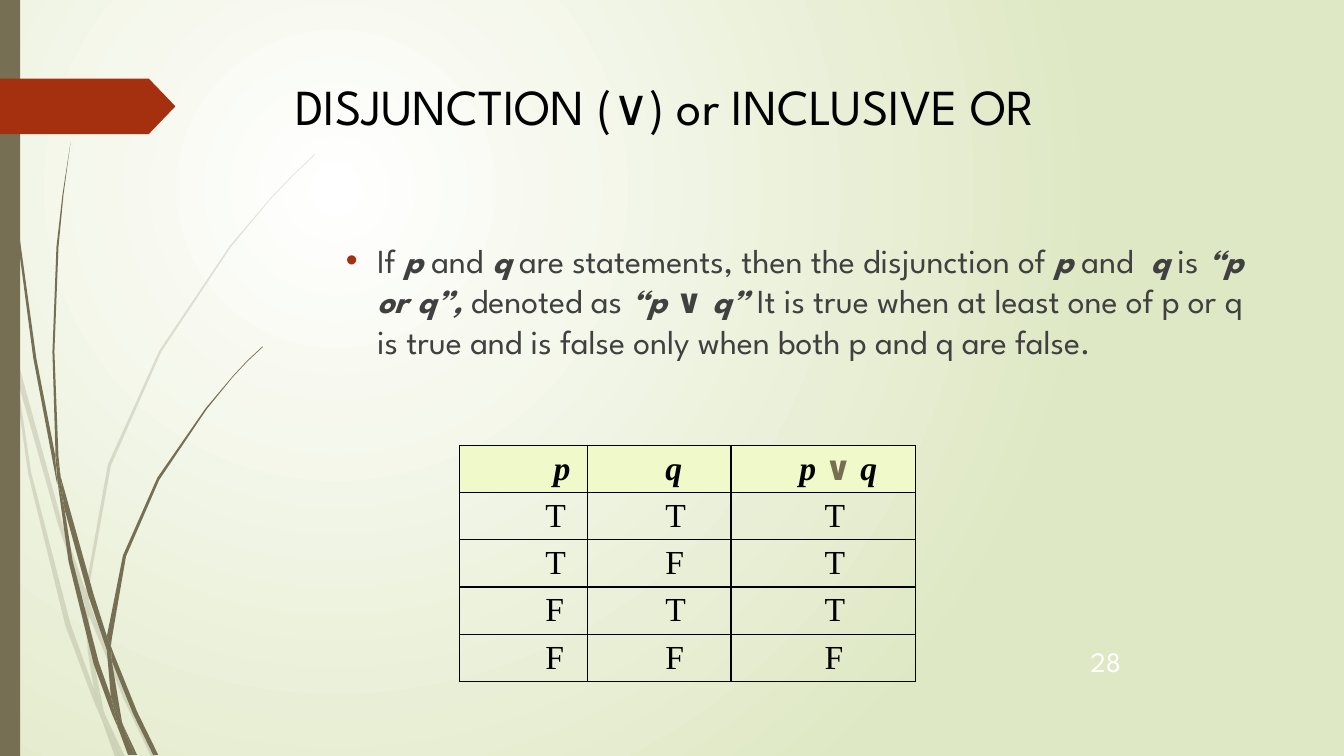
from lxml.etree import SubElement
from pptx import Presentation
from pptx.dml.color import RGBColor
from pptx.enum.shapes import MSO_SHAPE
from pptx.enum.text import MSO_ANCHOR, MSO_AUTO_SIZE, PP_ALIGN
from pptx.oxml.ns import qn
from pptx.util import Inches, Pt

SPARTAN, TIMES = "League Spartan", "Times New Roman"
OLIVE, RUST, BLACK = "766F54", "A53010", "000000"

# Outlines of the grass pieces, in inches
PALE_GRASS = [
    [(0.11, 3.5), (0.09, 3.22), (0, 2.82), (0, 2.99), (0.1, 3.44)],
    [(0.58, 5.22), (0.84, 5.99), (0.85, 5.86), (0.62, 5.2), (0.14, 3.45), (0.17, 3.76)],
    [(0.92, 6.07), (0.88, 5.96), (0.88, 6.1), (1.23, 6.94), (1.5, 7.51), (1.55, 7.51),
     (1.27, 6.92)],
    [(1.19, 7.51), (1.24, 7.51), (1.05, 7.11)],
    [(0.93, 6.83), (0.7, 6.19), (0.31, 4.69), (0.17, 3.76), (0.11, 3.5), (0.28, 4.7),
     (0.65, 6.21), (0.92, 6.93), (1.01, 7.14), (0.99, 7.07)],
    [(0.84, 5.99), (0.87, 6.46), (0.93, 6.83), (0.96, 6.92), (1.05, 7.11), (1.03, 7.06),
     (0.91, 6.46), (0.88, 6.1), (0.88, 6.08)],
    [(0.88, 5.84), (1.1, 4.62), (1.6, 3.49), (2.29, 2.45), (2.68, 1.98), (2.9, 1.75),
     (3.12, 1.54), (3.12, 1.53), (2.89, 1.75), (2.68, 1.97), (2.28, 2.44), (1.58, 3.48),
     (1.07, 4.61), (0.85, 5.84), (0.85, 5.86), (0.88, 5.96)],
    [(1.01, 7.14), (1.14, 7.51), (1.19, 7.51)],
    [(0.88, 6.08), (0.88, 6.1), (0.88, 5.96), (0.85, 5.86), (0.84, 5.99)],
    [(0.96, 6.92), (0.93, 6.83), (0.99, 7.07), (1.01, 7.14), (1.19, 7.51), (1.05, 7.11)],
]
DARK_GRASS = [
    [(0.07, 1.1), (0.17, 2.33), (0.33, 3.55), (0.56, 4.77), (0.57, 4.81), (0.55, 4.57),
     (0.55, 4.53), (0.36, 3.55), (0.19, 2.32), (0.08, 1.09), (0.05, 0.48), (0.04, 0),
     (0.03, 0), (0.04, 0.48)],
    [(0.88, 5.92), (1.06, 6.45), (1.06, 6.31), (0.93, 5.9), (0.6, 4.72), (0.64, 5.05)],
    [(1.13, 6.49), (1.1, 6.41), (1.11, 6.56), (1.32, 7.08), (1.52, 7.49), (1.57, 7.49),
     (1.36, 7.06)],
    [(1.1, 6.91), (0.98, 6.57), (0.72, 5.56), (0.64, 5.05), (0.57, 4.77), (0.68, 5.57),
     (0.93, 6.59), (1.11, 7.08), (1.17, 7.22), (1.16, 7.17)],
    [(0.6, 4.72), (0.58, 4.53), (0.54, 3.49), (0.58, 2.45), (0.63, 1.93), (0.7, 1.41),
     (0.62, 1.93), (0.56, 2.45), (0.52, 3.49), (0.55, 4.49)],
    [(1.33, 7.49), (1.36, 7.49), (1.22, 7.19)],
    [(0.57, 4.77), (0.64, 5.05), (0.6, 4.72), (0.55, 4.49), (0.55, 4.53)],
    [(1.11, 6.33), (1.25, 5.52), (1.58, 4.76), (2.05, 4.06), (2.31, 3.74), (2.45, 3.59),
     (2.61, 3.44), (2.6, 3.44), (2.45, 3.58), (2.31, 3.73), (2.04, 4.05), (1.56, 4.74),
     (1.22, 5.51), (1.06, 6.31), (1.1, 6.41)],
    [(1.17, 7.22), (1.27, 7.49), (1.31, 7.49)],
    [(1.06, 6.45), (1.1, 6.91), (1.16, 7.06), (1.22, 7.19), (1.21, 7.16), (1.11, 6.56),
     (1.09, 6.51)],
    [(1.06, 6.45), (1.09, 6.51), (1.11, 6.56), (1.1, 6.41), (1.06, 6.31)],
    [(1.16, 7.06), (1.1, 6.91), (1.16, 7.17), (1.17, 7.22), (1.3, 7.49), (1.33, 7.49),
     (1.22, 7.19)],
]

# Definition text: (words, bold, italic)
DEFINITION = [
    ("If ", False, False), ("p", True, True), (" and ", False, False), ("q", True, True),
    (" are statements, then the disjunction of ", False, False), ("p", True, True),
    (" and  ", False, False), ("q", True, True), (" is ", False, False),
    ("“p or q”,", True, True), (" denoted as ", False, False), ("“p ", True, True),
    ("∨", True, False), (" q” ", True, True),
    ("It is true when at least one of p or q is true and is false only when both "
     "p and q are false.", False, False),
]

TRUTH_ROWS = ["TTT", "TFT", "FTT", "FFF"]
COLUMN_WIDTHS = [1.27, 1.42, 1.83]
HEADER_INDENTS = [0.93, 0.77, 0.68]
VALUE_INDENTS = [0.85, 0.77, 0.93]


def rgb(hex_colour):
    return RGBColor.from_string(hex_colour)


def add_run(paragraph, words, colour, **font_format):
    run = paragraph.add_run()
    run.text = words
    run.font.color.rgb = rgb(colour)
    for name, value in font_format.items():
        setattr(run.font, name, value)


def paint(shape, colour, alpha=None):
    shape.shadow.inherit = False
    shape.line.fill.background()
    shape.fill.solid()
    shape.fill.fore_color.rgb = rgb(colour)
    if alpha:
        solid = shape.element.spPr.find(qn("a:solidFill"))
        SubElement(solid[0], qn("a:alpha"), val=str(alpha * 1000))


def add_background(slide):
    fill = slide.background.fill
    fill.gradient()
    for stop, colour, position in zip(fill.gradient_stops, ("FFFFFF", "DFE8C4"), (0, 1)):
        stop.color.rgb = rgb(colour)
        stop.position = position
    gradient = slide.element.find(".//" + qn("a:gradFill"))
    gradient.remove(gradient.find(qn("a:lin")))
    circle = SubElement(gradient, qn("a:path"), path="circle")
    SubElement(circle, qn("a:fillToRect"), l="50000", t="50000", r="100000", b="100000")


def add_grass(slide, box):
    left, top = box[:2]
    for pieces, alpha in ((PALE_GRASS, 20), (DARK_GRASS, None)):
        for piece in pieces:
            outline = [(Inches(left + x), Inches(top + y)) for x, y in piece]
            builder = slide.shapes.build_freeform(*outline[0])
            builder.add_line_segments(outline[1:], close=True)
            paint(builder.convert_to_shape(), OLIVE, alpha)


def add_side_decor(slide, box):
    left, top, _, height = box
    add_grass(slide, box)
    # Edge bar and page marker
    for kind, part_box, colour in (
            (MSO_SHAPE.RECTANGLE, (left, top, 0.2, height), OLIVE),
            (MSO_SHAPE.PENTAGON, (left, top + 0.78, 1.74, 0.55), RUST)):
        part = slide.shapes.add_shape(kind, *map(Inches, part_box))
        paint(part, colour)
        if kind == MSO_SHAPE.PENTAGON:
            part.adjustments[0] = 0.48


def add_text_frame(shape, box):
    for side, length in zip(("left", "top", "width", "height"), box):
        setattr(shape, side, Inches(length))
    frame = shape.text_frame
    for name, value in {"word_wrap": True, "auto_size": MSO_AUTO_SIZE.NONE,
                        "vertical_anchor": MSO_ANCHOR.TOP}.items():
        setattr(frame, name, value)
    paragraph = frame.paragraphs[0]
    paragraph.alignment = PP_ALIGN.LEFT
    paragraph.space_before = Pt(0)
    return paragraph


def add_heading(slide, box):
    heading = add_text_frame(slide.shapes.title, box)
    heading.line_spacing = 1.0
    add_run(heading, "DISJUNCTION (∨) or INCLUSIVE OR", BLACK, size=Pt(36), name=SPARTAN)


def add_definition(slide, box):
    definition = add_text_frame(slide.placeholders[1], box)
    props = definition._p.get_or_add_pPr()
    props.set("marL", str(Inches(0.81)))
    props.set("indent", str(Inches(-0.31)))
    SubElement(SubElement(props, qn("a:buClr")), qn("a:srgbClr"), val=RUST)
    SubElement(props, qn("a:buFont"), typeface="Arial")
    SubElement(props, qn("a:buChar"), char="•")
    for words, bold, italic in DEFINITION:
        add_run(definition, words, "404040", size=Pt(24), name=SPARTAN, bold=bold, italic=italic)


def add_borders(cell):
    props = cell._tc.get_or_add_tcPr()
    for position, side in enumerate(("lnL", "lnR", "lnT", "lnB")):
        line = SubElement(props, qn("a:" + side), w=str(Pt(1)))
        SubElement(SubElement(line, qn("a:solidFill")), qn("a:srgbClr"), val=BLACK)
        props.insert(position, line)


def add_truth_table(slide, box):
    header = [["p"], ["q"], ["p ", "∨", " q"]]
    rows = [header] + [[[value] for value in row] for row in TRUTH_ROWS]
    table = slide.shapes.add_table(len(rows), len(header), *map(Inches, box)).table
    table.first_row = table.horz_banding = False
    for column, width in zip(table.columns, COLUMN_WIDTHS):
        column.width = Inches(width)
    for r, row in enumerate(rows):
        table.rows[r].height = Inches(box[3] / len(rows))
        is_header = r == 0
        indents = HEADER_INDENTS if is_header else VALUE_INDENTS
        for c, pieces in enumerate(row):
            cell = table.cell(r, c)
            for side, margin in {"left": indents[c], "right": 0, "top": 0.05,
                                 "bottom": 0.03}.items():
                setattr(cell, "margin_" + side, Inches(margin))
            if is_header:
                cell.fill.solid()
                cell.fill.fore_color.rgb = rgb("F0F9C9")
            else:
                cell.fill.background()
            add_borders(cell)
            for piece in pieces:
                is_or = piece == "∨"
                add_run(cell.text_frame.paragraphs[0], piece, OLIVE if is_or else BLACK,
                        size=Pt(24), name=SPARTAN if is_or else TIMES,
                        bold=is_header, italic=is_header and not is_or)


def add_page_number(slide, box):
    number = add_text_frame(slide.shapes.add_textbox(*map(Inches, box)), box)
    add_run(number, "28", "FFFFFF", size=Pt(20), name=SPARTAN)


def main():
    deck = Presentation()
    deck.slide_width, deck.slide_height = Inches(13.33), Inches(7.5)
    slide = deck.slides.add_slide(deck.slide_layouts[1])
    add_background(slide)
    add_side_decor(slide, (0, 0, 3.12, 7.5))
    add_heading(slide, (2.83, 0.69, 9.75, 1.4))
    add_definition(slide, (2.83, 2.33, 9.75, 4.13))
    add_truth_table(slide, (4.56, 4.42, 4.52, 2.34))
    add_page_number(slide, (10.72, 6.34, 0.8, 0.45))
    deck.save("out.pptx")


if __name__ == "__main__":
    main()
